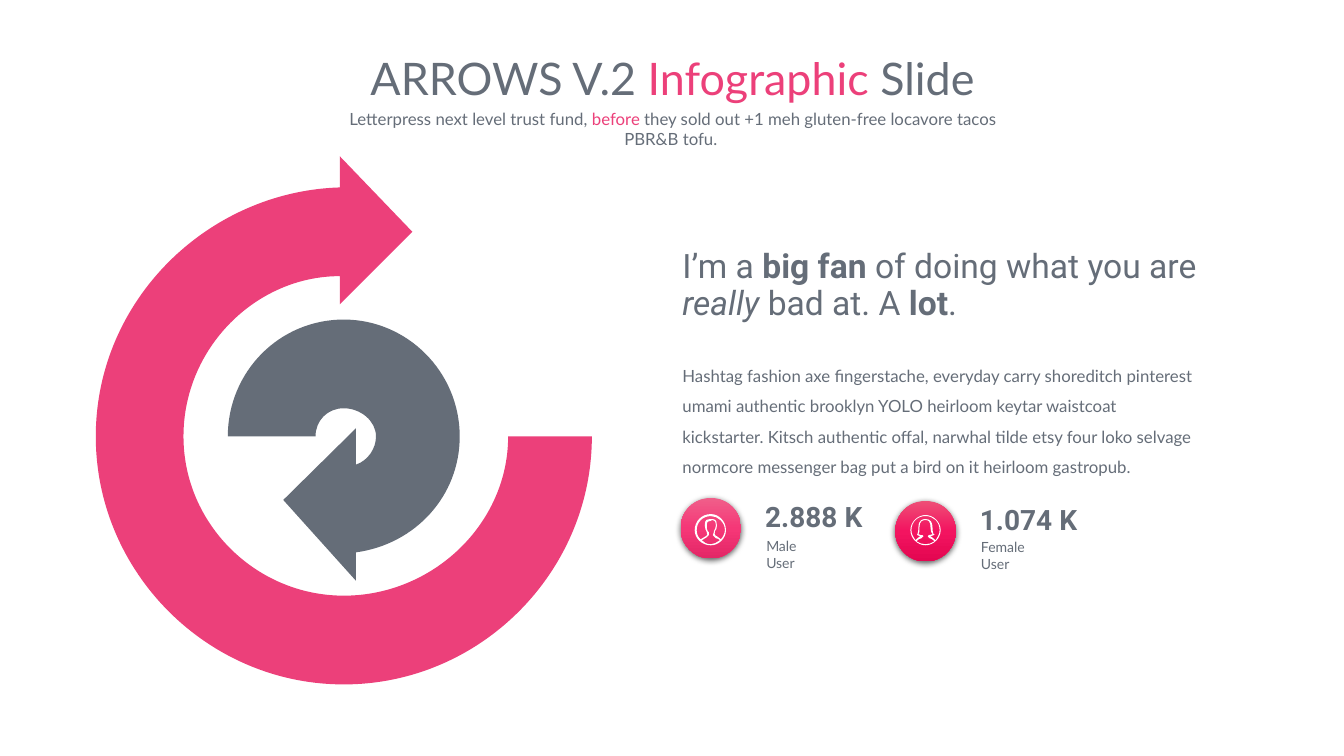
from copy import deepcopy
from lxml import etree
from pptx import Presentation
from pptx import util as u
from pptx.dml.color import RGBColor
from pptx.enum import shapes, text
from pptx.oxml.ns import qn

HUES = {"pink": "EC407A", "grey": "656D78", "white": "FFFFFF", "black": "000000"}

deck = Presentation()
deck.slide_width, deck.slide_height = u.Inches(13.33), u.Inches(7.5)
page = deck.slides.add_slide(deck.slide_layouts[6])


def write(runs, left, top, wide, high, size=12, font="Lato", bold=False,
          align="LEFT", space=None, inset=None):
    """Add a text box; each run is (words, options)."""
    box = page.shapes.add_textbox(*map(u.Inches, (left, top, wide, high)))
    frame = box.text_frame
    frame.word_wrap = True
    frame.auto_size = text.MSO_AUTO_SIZE.SHAPE_TO_FIT_TEXT
    if inset is not None:
        frame.margin_left = frame.margin_right = u.Inches(inset)
        frame.margin_top = frame.margin_bottom = u.Inches(inset)
    para = frame.paragraphs[0]
    para.alignment = getattr(text.PP_ALIGN, align)
    if space:
        para.line_spacing = space
    for words, opts in runs:
        run = para.add_run()
        run.text = words
        run.font.name, run.font.size = font, u.Pt(size)
        run.font.bold = opts.get("bold", bold)
        run.font.italic = opts.get("italic", False)
        run.font.color.rgb = RGBColor.from_string(HUES[opts.get("hue", "grey")])


def trace(loops, hue, x=0, y=0, unit=1):
    """Fill closed loops: a start, then pairs for lines and sixes for curves."""
    pen = None
    for loop in loops:
        flat = [n for move in loop for n in move]
        dots = [(u.Inches(x + p * unit), u.Inches(y + q * unit))
                for p, q in zip(flat[::2], flat[1::2])]
        if pen:
            pen.move_to(*dots[0])
        else:
            pen = page.shapes.build_freeform(*dots[0], scale=1.0)
        pen.add_line_segments(dots[1:], close=True)
    form = pen.convert_to_shape()
    # Turn each three points of a curve into one Bezier segment
    lines = iter(list(form._element.iter(qn("a:lnTo"))))
    for move in (m for loop in loops for m in loop[1:]):
        parts = [next(lines) for _ in range(len(move) // 2)]
        if len(parts) == 3:
            curve = etree.Element(qn("a:cubicBezTo"))
            parts[0].addprevious(curve)
            for part in parts:
                curve.append(part[0])
                part.getparent().remove(part)
    form.shadow.inherit = False
    form.fill.solid()
    form.fill.fore_color.rgb = RGBColor.from_string(HUES[hue])
    form.line.fill.background()


# Heading
write([("ARROWS V.2 ", {}), ("Infographic ", {"hue": "pink"}), ("Slide", {})],
      2.54, 0.45, 8.26, 0.64, size=32, align="CENTER")
write([("Letterpress next level trust fund, ", {}), ("before", {"hue": "pink"}),
       (" they sold out +1 meh gluten-free locavore tacos PBR&B tofu. ", {})],
      3.2, 1.03, 6.95, 0.3, align="CENTER")

# Round arrows
trace([[(5.04, 4.33), (5.04, 5.2, 4.29, 5.91, 3.41, 5.91),
        (2.54, 5.91, 1.82, 5.2, 1.82, 4.33), (1.82, 3.45, 2.54, 2.74, 3.37, 2.74),
        (3.37, 3.02), (4.09, 2.3), (3.37, 1.55), (3.37, 1.86),
        (2.06, 1.9, 0.95, 2.98, 0.95, 4.33), (0.95, 5.68, 2.06, 6.79, 3.41, 6.79),
        (4.76, 6.79, 5.87, 5.68, 5.87, 4.33)]], "pink")
trace([[(4.56, 4.33), (4.56, 3.69, 4.04, 3.17, 3.41, 3.17),
        (2.77, 3.17, 2.26, 3.69, 2.26, 4.33), (3.13, 4.33),
        (3.13, 4.17, 3.25, 4.05, 3.41, 4.05), (3.57, 4.05, 3.73, 4.17, 3.73, 4.33),
        (3.73, 4.45, 3.65, 4.57, 3.53, 4.61), (3.53, 4.25), (2.81, 4.96),
        (3.53, 5.76), (3.53, 5.48), (4.12, 5.4, 4.56, 4.92, 4.56, 4.33)]], "grey")

# Quote and body
write([("I’m a ", {}), ("big fan ", {"bold": True}), ("of doing what you are ", {}),
       ("really", {"italic": True}), (" bad at. A ", {}), ("lot", {"bold": True}),
       (".", {})], 6.67, 2.43, 5.46, 0.83, size=24, font="Roboto", space=0.9)
write([("Hashtag fashion axe fingerstache, everyday carry shoreditch pinterest umami "
        "authentic brooklyn YOLO heirloom keytar waistcoat kickstarter. Kitsch "
        "authentic offal, narwhal tilde etsy four loko selvage normcore messenger "
        "bag put a bird on it heirloom gastropub.", {})],
      6.67, 3.48, 5.32, 1.31, space=1.5)

# User icons in hundredths of an inch: backdrop, bust, ring
male = [
    [(26, 25), (25, 24, 23, 23, 22, 22), (21, 22, 20, 21, 20, 20), (19, 20, 19, 19, 20, 19),
     (20, 18, 20, 18, 20, 17), (21, 16, 22, 15, 22, 11), (22, 5, 19, 5, 18, 5), (17, 5),
     (17, 5, 16, 5, 15, 5), (13, 5, 10, 5, 10, 11), (10, 14, 11, 16, 12, 18),
     (12, 18, 12, 18, 12, 19), (13, 20, 13, 21, 11, 22), (9, 23, 8, 23, 6, 25),
     (3, 23, 2, 19, 2, 16), (2, 8, 8, 2, 16, 2), (23, 2, 30, 8, 30, 16),
     (30, 19, 28, 23, 26, 25)],
    [(16, 30), (12, 30, 9, 28, 7, 26), (9, 25, 9, 24, 12, 23), (14, 22, 15, 20, 14, 18),
     (14, 18, 13, 17, 13, 17), (12, 16, 12, 14, 12, 11), (12, 7, 14, 7, 15, 7),
     (16, 7, 17, 6, 17, 6), (18, 6), (19, 6, 21, 7, 21, 11), (21, 14, 20, 15, 19, 17),
     (19, 17, 19, 18, 19, 18), (18, 19, 18, 20, 18, 21), (19, 22, 20, 23, 21, 24),
     (23, 24, 24, 25, 25, 26), (22, 28, 19, 30, 16, 30)],
    [(16, 0), (7, 0, 0, 7, 0, 16), (0, 24, 7, 31, 16, 31), (24, 31, 31, 24, 31, 16),
     (31, 7, 24, 0, 16, 0)],
]
female = [
    [(25, 25), (23, 23, 21, 22, 20, 21), (19, 21), (21, 21, 23, 20, 23, 20),
     (23, 20, 24, 19, 24, 19), (23, 19), (23, 18, 22, 18, 22, 13), (22, 7, 20, 4, 15, 4),
     (12, 4, 8, 5, 8, 12), (8, 17, 7, 18, 7, 19), (6, 19, 7, 20, 7, 20),
     (9, 21, 10, 21, 11, 21), (11, 21, 11, 21, 10, 21), (9, 22, 6, 23, 5, 25),
     (3, 22, 1, 19, 1, 15), (1, 7, 7, 1, 15, 1), (23, 1, 29, 7, 29, 15),
     (29, 19, 27, 22, 25, 25)],
    [(15, 29), (12, 29, 9, 28, 6, 26), (7, 25, 9, 23, 11, 23), (12, 22, 12, 22, 13, 21),
     (13, 20, 12, 20, 12, 20), (11, 20), (11, 20, 10, 20, 8, 19), (9, 18, 9, 16, 9, 12),
     (9, 6, 12, 5, 15, 5), (18, 5, 20, 6, 20, 13), (20, 16, 21, 18, 22, 19),
     (21, 19, 20, 20, 18, 20), (17, 21, 17, 22, 19, 23), (20, 23, 22, 24, 24, 26),
     (21, 28, 18, 29, 15, 29)],
    [(15, 0), (7, 0, 0, 7, 0, 15), (0, 23, 7, 30, 15, 30), (23, 30, 30, 23, 30, 15),
     (30, 7, 23, 0, 15, 0)],
]

# User counts
users = [
    (6.75, 4.94, "2.888 K", "Male User", 0.55, ("F05F8A", "F53777", "E32767"),
     male, 6.89, 5.1),
    (8.88, 4.97, "1.074 K", "Female User", 0.73, ("EE4F77", "F31460", "E30651"),
     female, 9.03, 5.11),
]
for left, top, count, label, wide, tones, icon, x, y in users:
    # Ball with a gradient and a soft shadow
    ball = page.shapes.add_shape(shapes.MSO_SHAPE.OVAL,
                                 *map(u.Inches, (left, top, 0.6, 0.6)))
    ball.line.fill.background()
    ball.fill.gradient()
    ball.fill.gradient_angle = 270
    stops = ball._element.spPr.find(".//" + qn("a:gsLst"))
    stops.insert(1, deepcopy(stops[0]))
    for stop, spot, tone in zip(ball.fill.gradient_stops, (0, 0.5, 1), tones):
        stop.position = spot
        stop.color.rgb = RGBColor.from_string(tone)
    ball.shadow.inherit = False
    glow = etree.SubElement(ball._element.spPr.find(qn("a:effectLst")), qn("a:outerShdw"),
                            blurRad=str(u.Pt(4.5)), dist=str(u.Pt(1.5)),
                            dir="5400000", algn="ctr", rotWithShape="0")
    tint = etree.SubElement(glow, qn("a:srgbClr"), val=HUES["black"])
    etree.SubElement(tint, qn("a:alpha"), val="63000")

    write([(count, {})], left + 0.74, top - 0.03, 1.19, 0.44,
          size=20, font="Roboto", bold=True)
    write([(label, {})], left + 0.85, y + 0.23, wide, 0.17, size=10, inset=0)
    trace(icon, "white", x, y, unit=0.01)

deck.save("out.pptx")
